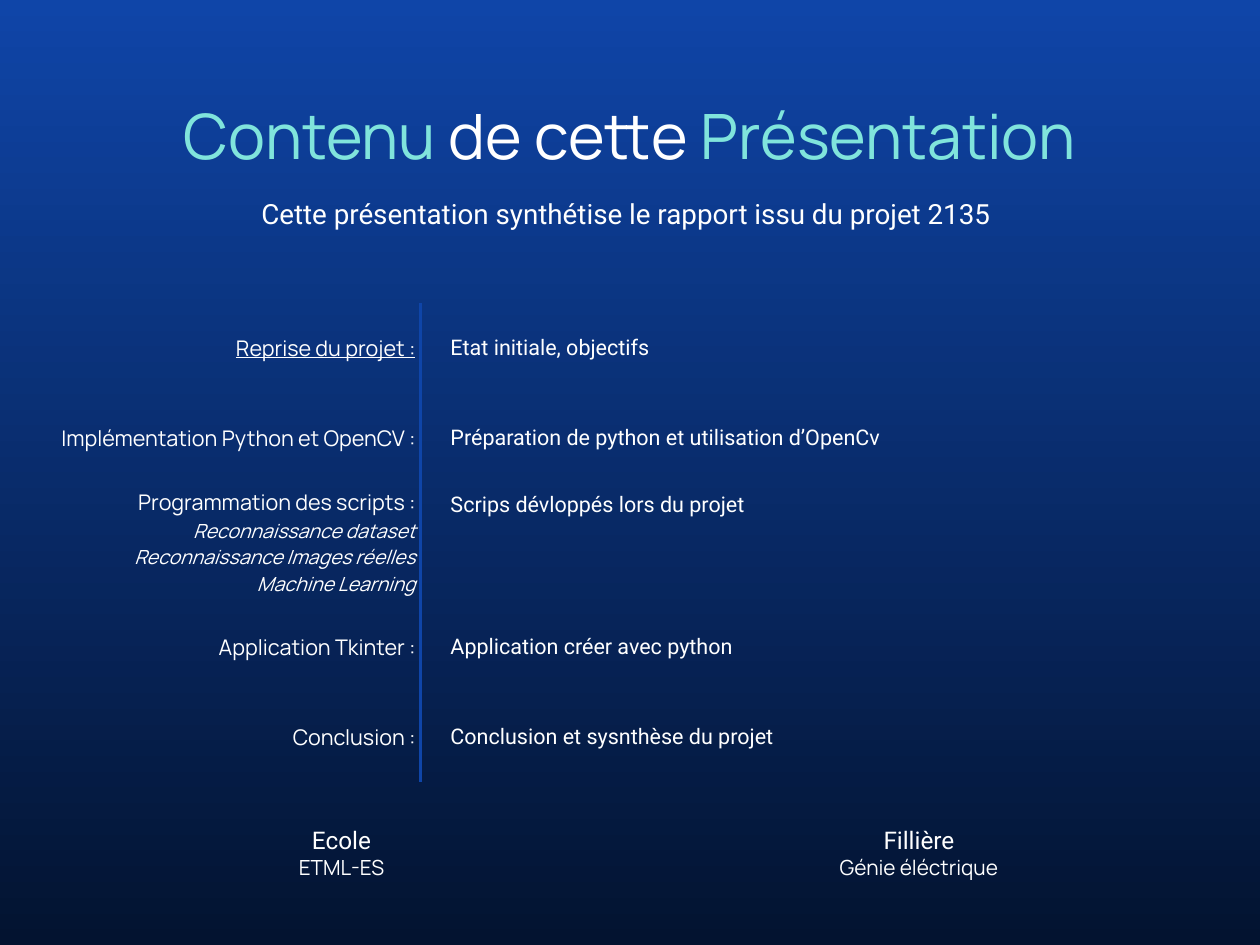
from dataclasses import dataclass

from lxml import etree
from pptx import Presentation
from pptx.dml.color import RGBColor
from pptx.enum.text import MSO_ANCHOR as Anchor, MSO_AUTO_SIZE as AutoSize, PP_ALIGN as Align
from pptx.oxml import parse_xml
from pptx.oxml.ns import nsdecls, qn
from pptx.util import Inches, Pt


@dataclass(frozen=True)
class Theme:
    """Colours, fonts and type sizes of the slide."""
    blue: str = "0F45A8"
    night: str = "031330"
    aqua: str = "80E4DC"
    white: str = "FFFFFF"
    display: str = "Manrope"
    body: str = "Roboto"
    title: int = 90
    subtitle: int = 40
    heading: int = 35
    topic: int = 31
    detail: int = 30
    subtopic: int = 28
    rule: int = 6


THEME = Theme()
NO_STYLE = "{2D5ABB26-0587-4C30-8999-92F81FD0307C}"
ROW_HEIGHTS = (1.8, 1.8, 2.33, 1.8, 1.8)
AGENDA = (
    (["Reprise du projet :"], "Etat initiale, objectifs"),
    (["Implémentation Python et OpenCV :"], "Préparation de python et utilisation d’OpenCv"),
    (["Programmation des scripts :", "Reconnaissance dataset", "Reconnaissance Images réelles",
      "Machine Learning"], "Scrips dévloppés lors du projet"),
    (["Application Tkinter :"], "Application créer avec python"),
    (["Conclusion :"], "Conclusion et sysnthèse du projet"),
)


def style_font(font, name, size, color=THEME.white):
    """Set the typeface, size and colour of a font."""
    font.name = name
    font.size = Pt(size)
    font.color.rgb = RGBColor.from_string(color)


def prepare_frame(frame, margin):
    """Centre a wrapping text frame vertically, with equal margins."""
    frame.word_wrap = True
    frame.auto_size = AutoSize.NONE
    frame.vertical_anchor = Anchor.MIDDLE
    frame.margin_left = frame.margin_right = Inches(margin)
    frame.margin_top = frame.margin_bottom = Inches(margin)
    paragraph = frame.paragraphs[0]
    paragraph.alignment = Align.CENTER
    return paragraph


def paint_background(slide):
    """Fill the background with a vertical gradient."""
    fill = slide.background.fill
    fill.gradient()
    fill.gradient_angle = 270
    for stop, position, color in zip(fill.gradient_stops, (0, 1), (THEME.blue, THEME.night)):
        stop.position = position
        stop.color.rgb = RGBColor.from_string(color)


def add_title(slide, left, top, width, height):
    """Place the two-coloured title."""
    title = slide.shapes.title
    title.left, title.top = Inches(left), Inches(top)
    title.width, title.height = Inches(width), Inches(height)
    paragraph = prepare_frame(title.text_frame, 0.28)
    for text, color in (("Contenu ", THEME.aqua), ("de cette", THEME.white),
                        (" Présentation", THEME.aqua)):
        run = paragraph.add_run()
        run.text = text
        style_font(run.font, THEME.display, THEME.title, color)


def add_text_box(slide, left, top, width, height, margin):
    """Add a centred text box and return its paragraph."""
    box = slide.shapes.add_textbox(Inches(left), Inches(top), Inches(width), Inches(height))
    return prepare_frame(box.text_frame, margin)


def add_subtitle(slide, left, top, width, height):
    """Place the sentence under the title."""
    paragraph = add_text_box(slide, left, top, width, height, 0.28)
    paragraph.text = "Cette présentation synthétise le rapport issu du projet 2135"
    style_font(paragraph.font, THEME.body, THEME.subtitle)


def add_cell_border(cell, side):
    """Draw the blue rule on one side of a cell."""
    line = parse_xml(f'<a:{side} {nsdecls("a")} w="{Pt(THEME.rule)}"/>')
    fill = etree.SubElement(line, qn("a:solidFill"))
    etree.SubElement(fill, qn("a:srgbClr"), val=THEME.blue)
    cell._tc.get_or_add_tcPr().insert(0, line)


def prepare_cell(cell, margin_left, border):
    """Clear a cell's fill and set its margins, anchor and border."""
    cell.fill.background()
    cell.vertical_anchor = Anchor.MIDDLE
    cell.margin_left = Inches(margin_left)
    cell.margin_right = cell.margin_top = cell.margin_bottom = Inches(0.1)
    add_cell_border(cell, border)


def fill_topic(cell, lines):
    """Write a topic and its italic subtopics, aligned right."""
    prepare_cell(cell, 0.1, "lnR")
    cell.text = "\n".join(lines)
    for index, paragraph in enumerate(cell.text_frame.paragraphs):
        paragraph.alignment = Align.RIGHT
        style_font(paragraph.font, THEME.display, THEME.subtopic if index else THEME.topic)
        paragraph.font.italic = index > 0


def fill_description(cell, text):
    """Write the description of a topic."""
    prepare_cell(cell, 0.6, "lnL")
    cell.text = text
    paragraph = cell.text_frame.paragraphs[0]
    paragraph.space_after = Pt(16)
    style_font(paragraph.font, THEME.body, THEME.topic)


def add_agenda(slide, left, top, width, height, topic_width):
    """Place the agenda table with its dividing rule."""
    table = slide.shapes.add_table(len(AGENDA), 2, Inches(left), Inches(top),
                                   Inches(width), Inches(height)).table
    table.first_row = table.horz_banding = False
    table._tbl.tblPr.find(qn("a:tableStyleId")).text = NO_STYLE
    table.columns[0].width = Inches(topic_width)
    table.columns[1].width = Inches(width - topic_width)
    for index, (lines, description) in enumerate(AGENDA):
        table.rows[index].height = Inches(ROW_HEIGHTS[index])
        fill_topic(table.cell(index, 0), lines)
        fill_description(table.cell(index, 1), description)
        if len(lines) > 1:
            table.cell(index, 1).vertical_anchor = Anchor.TOP
            table.cell(index, 1).margin_top = Inches(0.19)
    table.cell(0, 0).text_frame.paragraphs[0].font.underline = True


def add_footer(slide, left, top, width, height, heading, detail):
    """Place a heading with a detail line below it."""
    paragraph = add_text_box(slide, left, top, width, height, 0.1)
    first = paragraph.add_run()
    first.text = heading
    style_font(first.font, THEME.body, THEME.heading)
    paragraph.add_line_break()
    second = paragraph.add_run()
    second.text = detail
    style_font(second.font, THEME.display, THEME.detail)


def main():
    """Build the contents slide and save it."""
    presentation = Presentation()
    presentation.slide_width, presentation.slide_height = Inches(25.2), Inches(18.9)
    slide = presentation.slides.add_slide(presentation.slide_layouts[5])
    paint_background(slide)
    add_title(slide, 0.86, 1.64, 23.48, 2.1)
    add_subtitle(slide, 1.63, 3.49, 21.77, 1.57)
    add_agenda(slide, 0.86, 6.06, 23.48, sum(ROW_HEIGHTS), 7.55)
    add_footer(slide, 1.86, 16.36, 9.94, 1.38, "Ecole", "ETML-ES")
    add_footer(slide, 13.41, 16.36, 9.94, 1.38, "Fillière", "Génie éléctrique")
    presentation.save("out.pptx")


if __name__ == "__main__":
    main()
